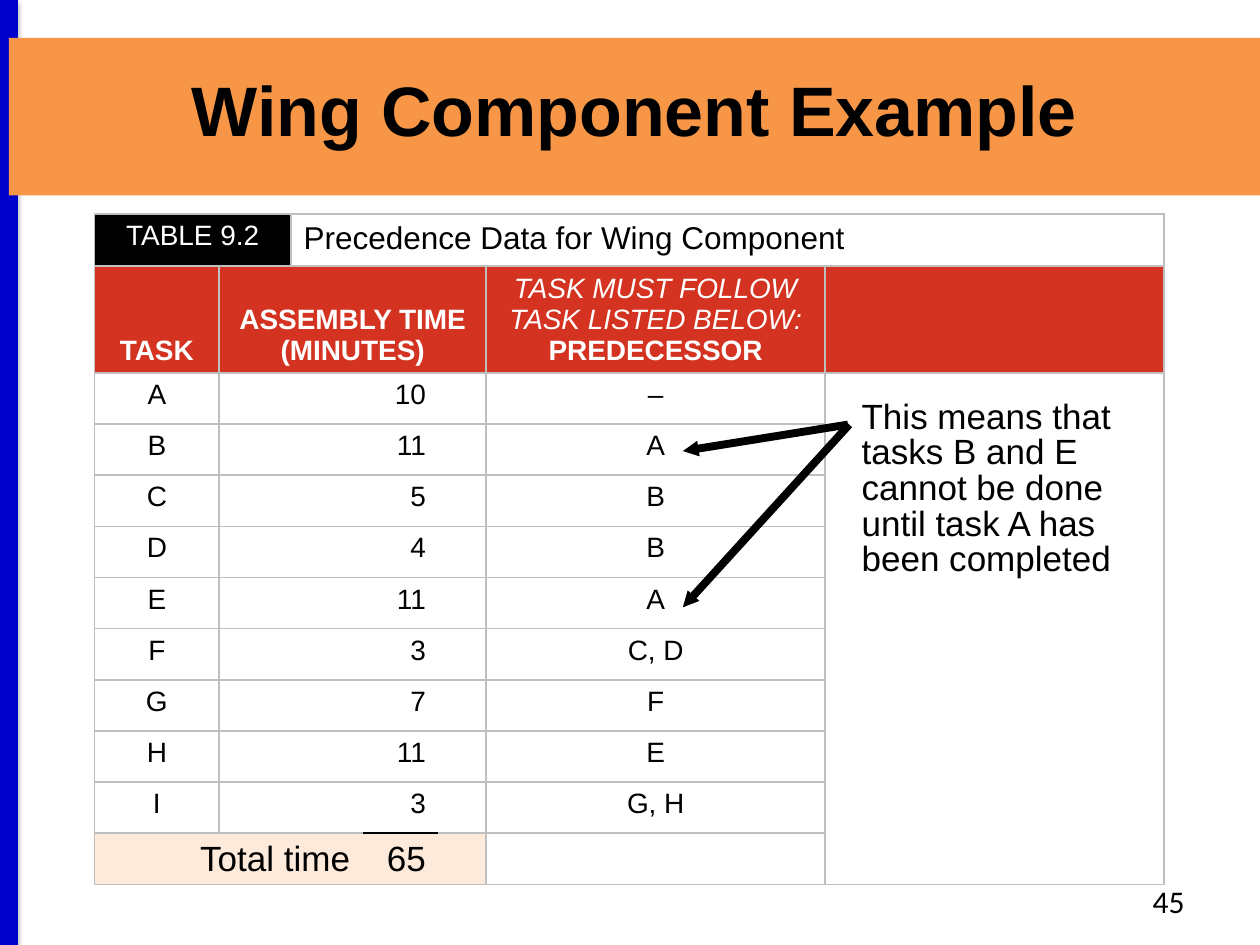
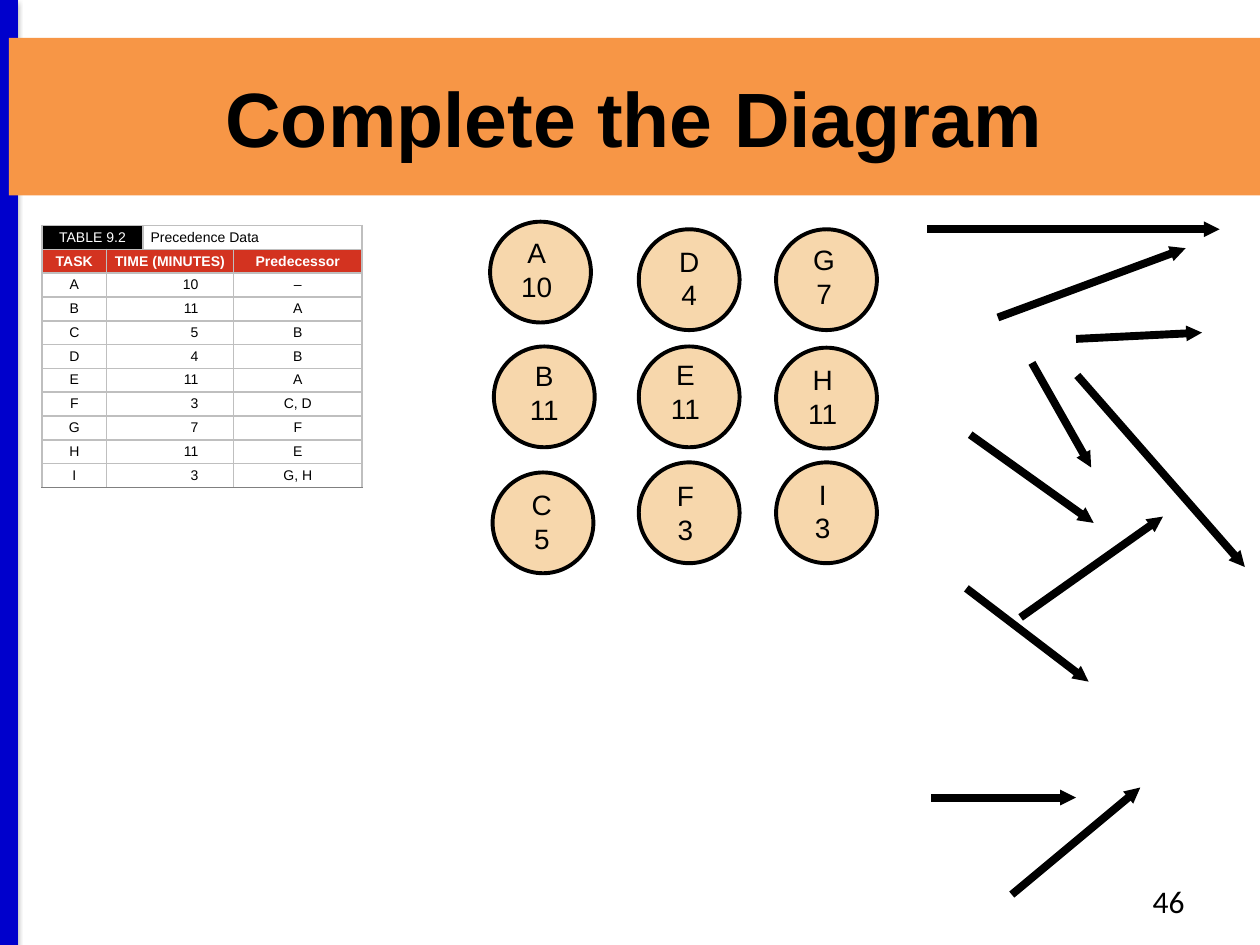
"""Build two assembly-line balancing slides: a precedence table and a diagram exercise."""
from dataclasses import dataclass
from typing import NamedTuple

from lxml import etree
from pptx import Presentation
from pptx.dml.color import RGBColor
from pptx.enum.shapes import MSO_CONNECTOR, MSO_SHAPE
from pptx.enum.text import MSO_ANCHOR, PP_ALIGN
from pptx.oxml.ns import qn
from pptx.util import Emu, Inches, Pt

LEFT, CENTER, RIGHT = PP_ALIGN.LEFT, PP_ALIGN.CENTER, PP_ALIGN.RIGHT
TOP, MIDDLE, BOTTOM = MSO_ANCHOR.TOP, MSO_ANCHOR.MIDDLE, MSO_ANCHOR.BOTTOM
RECTANGLE, OVAL, STRAIGHT = MSO_SHAPE.RECTANGLE, MSO_SHAPE.OVAL, MSO_CONNECTOR.STRAIGHT

WIDTH, HEIGHT = Inches(10), Inches(7.5)
GRID_COLUMNS, GRID_ROWS = 100, 75
BLACK, WHITE, ORANGE, BLUE = "000000", "FFFFFF", "F79646", "0000CC"
RED, PEACH, SAND, GRAY, DARK_GRAY = "D33320", "FDEADA", "F7D7AC", "BFBFBF", "808080"

TASKS = (("A", 10, "–"), ("B", 11, "A"), ("C", 5, "B"), ("D", 4, "B"), ("E", 11, "A"),
         ("F", 3, "C, D"), ("G", 7, "F"), ("H", 11, "E"), ("I", 3, "G, H"))
MINUTES = {task: minutes for task, minutes, _ in TASKS}
FIRST_TASK_ROW = 2
LAST_TASK_ROW = FIRST_TASK_ROW + len(TASKS) - 1
CLOSING_ROW = LAST_TASK_ROW + 1
TIME_COLUMN, TIME_END, PREDECESSOR_COLUMN, NOTE_COLUMN = 3, 4, 5, 6


class Arrow(NamedTuple):
    """Start and end of an arrow in grid units."""
    x1: float
    y1: float
    x2: float
    y2: float


class Node(NamedTuple):
    """A task circle with the centre and top of its label."""
    task: str
    left: float
    top: float
    label_center: float
    label_top: float


@dataclass(frozen=True)
class TableStyle:
    """Place, grid and wording of a precedence table."""
    left: float
    top: float
    widths: tuple[float, ...]
    heights: tuple[float, ...]
    size: float
    title_size: float
    title: str
    time_header: str
    predecessor_header: str
    inset: tuple[float, float]
    title_anchor: MSO_ANCHOR
    has_total: bool
    predecessor_lead: str = ""


FULL_TABLE = TableStyle(
    7.5, 17, (9.9, 5.7, 5.7, 6, 3.8, 26.9, 26.9), (4.1, 8.4) + (4.06,) * 10, 16, 18,
    "Precedence Data for Wing Component", "ASSEMBLY TIME (MINUTES)", "PREDECESSOR",
    (1, 0.5), TOP, True, "TASK MUST FOLLOW TASK LISTED BELOW:")
SMALL_TABLE = TableStyle(
    3.35, 17.9, (5.1, 2.9, 1.8, 3.2, 2.2, 10.2), (1.89,) * 12, 8, 8,
    "Precedence Data", "TIME (MINUTES)", "Predecessor", (0.6, 0.3), BOTTOM, False)

NOTE_ARROWS = (Arrow(67.3, 33.7, 54.2, 35.8), Arrow(67.4, 33.7, 54.2, 48.2))
LOOSE_ARROWS = (
    Arrow(81.9, 28.8, 86.6, 37.1), Arrow(79.2, 25.2, 94.1, 19.7),
    Arrow(85.4, 26.9, 95.4, 26.4), Arrow(81, 49, 92.3, 41),
    Arrow(77, 34.5, 86.8, 41.5), Arrow(76.7, 46.7, 86.4, 54.1),
    Arrow(80.3, 71, 90.5, 62.5), Arrow(73.6, 18.2, 96.8, 18.2),
    Arrow(73.9, 63.3, 85.4, 63.3), Arrow(85.5, 29.8, 98.8, 45))
NODES = (
    Node("A", 38.9, 17.6, 42.6, 18.2), Node("B", 39.2, 27.5, 43.2, 28),
    Node("C", 39.1, 37.5, 43, 38.2), Node("D", 50.7, 18.2, 54.7, 18.9),
    Node("E", 50.7, 27.5, 54.4, 27.9), Node("F", 50.7, 36.7, 54.4, 37.5),
    Node("G", 61.6, 18.2, 65.4, 18.8), Node("H", 61.6, 27.6, 65.3, 28.3),
    Node("I", 61.6, 36.7, 65.3, 37.4))
NODE_SIZE, LABEL_WIDTH, LABEL_HEIGHT = 8, 6, 6.4


def columns(count: float) -> Emu:
    """Convert grid columns to a length."""
    return Emu(round(count * WIDTH / GRID_COLUMNS))


def rows(count: float) -> Emu:
    """Convert grid rows to a length."""
    return Emu(round(count * HEIGHT / GRID_ROWS))


def place(left: float, top: float, width: float, height: float) -> tuple[Emu, ...]:
    """Convert a grid rectangle to lengths."""
    return columns(left), rows(top), columns(width), rows(height)


def color(value: str) -> RGBColor:
    """Turn a hex string into a colour."""
    return RGBColor.from_string(value)


def write(frame, text: str, *, size: float, font: str = "Arial", fill: str = BLACK,
          bold: bool = False, italic: bool = False, align: PP_ALIGN = CENTER,
          spacing: float | None = None) -> None:
    """Add the lines of a text to a frame in one format."""
    for line in text.split("\n"):
        paragraph = frame.add_paragraph() if frame.text else frame.paragraphs[0]
        paragraph.alignment = align
        if spacing:
            paragraph.line_spacing = spacing
        run = paragraph.add_run()
        run.text = line
        run.font.size, run.font.name = Pt(size), font
        run.font.bold, run.font.italic = bold, italic
        run.font.color.rgb = color(fill)


def add_label(shapes, text: str, left: float, top: float, width: float, height: float,
              wrap: bool = True, **text_format) -> None:
    """Add a text box."""
    frame = shapes.add_textbox(*place(left, top, width, height)).text_frame
    frame.word_wrap = wrap
    write(frame, text, **text_format)


def add_line(shapes, ends: Arrow, line_color: str, width: float):
    """Add a straight line and return it with its empty effect list."""
    line = shapes.add_connector(STRAIGHT, columns(ends.x1), rows(ends.y1),
                                columns(ends.x2), rows(ends.y2))
    line.line.color.rgb = color(line_color)
    line.line.width = Pt(width)
    effects = etree.SubElement(line._element.spPr, qn("a:effectLst"))
    return line, effects


def add_arrow(shapes, ends: Arrow) -> None:
    """Add a thick black arrow with a small head."""
    connector, _ = add_line(shapes, ends, BLACK, 4.5)
    etree.SubElement(connector.line._get_or_add_ln(), qn("a:tailEnd"),
                     type="triangle", w="sm", len="sm")


def add_side_band(slide) -> None:
    """Add the blue edge line with its soft shadow."""
    _, effects = add_line(slide.shapes, Arrow(0.7, 0, 0.7, GRID_ROWS), BLUE, 10)
    shadow = etree.SubElement(effects, qn("a:outerShdw"), blurRad=str(Pt(3.1)),
                              dist=str(Pt(1.6)), dir="5400000", rotWithShape="0")
    tint = etree.SubElement(shadow, qn("a:srgbClr"), val=BLACK)
    etree.SubElement(tint, qn("a:alpha"), val="38000")


def add_filled_shape(shapes, kind: MSO_SHAPE, area: tuple[Emu, ...], fill: str):
    """Add a flat preset shape without an outline."""
    shape = shapes.add_shape(kind, *area)
    shape.shadow.inherit = False
    shape.fill.solid()
    shape.fill.fore_color.rgb = color(fill)
    shape.line.fill.background()
    return shape


def add_frame(presentation, title: str, size: float, number: int,
              spacing: float | None = None):
    """Add a slide with edge line, title band and number."""
    slide = presentation.slides.add_slide(presentation.slide_layouts[6])
    add_side_band(slide)
    band = add_filled_shape(slide.shapes, RECTANGLE, place(0.7, 3, 99.3, 12.5), ORANGE)
    band.text_frame.vertical_anchor = MIDDLE
    band.text_frame.word_wrap = True
    write(band.text_frame, title, size=size, bold=True, spacing=spacing)
    add_label(slide.shapes, str(number), 71.7, 69.5, 23.3, 4,
              size=18, font="Calibri", align=RIGHT)
    return slide


def border_colors(row: int, column: int, has_total: bool) -> dict[str, str]:
    """Return the visible borders of a table cell by side."""
    if row == CLOSING_ROW and not has_total:
        return {"T": DARK_GRAY}
    sides = dict.fromkeys("LRTB", GRAY)
    time_start = 0 if row == CLOSING_ROW else 1
    if row >= FIRST_TASK_ROW and time_start <= column <= TIME_END:
        if column != time_start:
            del sides["L"]
        if column != TIME_END:
            del sides["R"]
    if column == NOTE_COLUMN and row > FIRST_TASK_ROW:
        del sides["T"]
    if column == NOTE_COLUMN and FIRST_TASK_ROW <= row < CLOSING_ROW:
        del sides["B"]
    if row == LAST_TASK_ROW and not has_total:
        sides["B"] = DARK_GRAY
    if has_total and column == TIME_COLUMN:
        if row == LAST_TASK_ROW:
            sides["B"] = BLACK
        elif row == CLOSING_ROW:
            sides["T"] = BLACK
    return sides


def cell_fill(row: int, column: int, has_total: bool) -> str | None:
    """Return the fill of a table cell."""
    if row == 0:
        return BLACK if column < 2 else None
    if row == 1:
        return RED
    return PEACH if has_total and row == CLOSING_ROW and column <= TIME_END else None


def format_cell(cell, style: TableStyle, row: int, column: int) -> None:
    """Set borders, fill, anchor, margins and text height of a cell."""
    properties = cell._tc.get_or_add_tcPr()
    sides = border_colors(row, column, style.has_total)
    for side in "LRTB":
        line = etree.SubElement(properties, qn(f"a:ln{side}"), w=str(Pt(1)))
        if side in sides:
            solid = etree.SubElement(line, qn("a:solidFill"))
            etree.SubElement(solid, qn("a:srgbClr"), val=sides[side])
        else:
            etree.SubElement(line, qn("a:noFill"))
    fill = cell_fill(row, column, style.has_total)
    if fill:
        cell.fill.solid()
        cell.fill.fore_color.rgb = color(fill)
    else:
        cell.fill.background()
    anchor = (style.title_anchor, BOTTOM)[row] if row < 2 else TOP
    cell.vertical_anchor = anchor
    cell.margin_left = cell.margin_right = columns(style.inset[0])
    cell.margin_top = rows(style.inset[1] if anchor == TOP else 0)
    cell.margin_bottom = rows(style.inset[1] if anchor == BOTTOM else 0)
    etree.SubElement(cell.text_frame.paragraphs[0]._p, qn("a:endParaRPr"),
                     sz=str(style.size * 100))


def add_precedence_table(slide, style: TableStyle) -> None:
    """Add the table of tasks, times and predecessors."""
    area = place(style.left, style.top, sum(style.widths), sum(style.heights))
    table = slide.shapes.add_table(len(style.heights), len(style.widths), *area).table
    for column, width in enumerate(style.widths):
        table.columns[column].width = columns(width)
    for row, height in enumerate(style.heights):
        table.rows[row].height = rows(height)
        for column in range(len(style.widths)):
            format_cell(table.cell(row, column), style, row, column)

    spans = [(0, 0, 1), (0, 2, len(style.widths) - 1), (1, 1, TIME_END), (CLOSING_ROW, 0, 2)]
    spans += [(row, 1, 2) for row in range(FIRST_TASK_ROW, CLOSING_ROW)]
    for row, first, last in spans:
        table.cell(row, first).merge(table.cell(row, last))

    def fill_in(row: int, column: int, text: str, size: float = style.size, **text_format):
        write(table.cell(row, column).text_frame, text, size=size, **text_format)

    fill_in(0, 0, "TABLE 9.2", fill=WHITE)
    fill_in(0, 2, style.title, style.title_size, align=LEFT)
    if style.predecessor_lead:
        fill_in(1, PREDECESSOR_COLUMN, style.predecessor_lead, fill=WHITE, italic=True)
    headers = {0: "TASK", 1: style.time_header, PREDECESSOR_COLUMN: style.predecessor_header}
    for column, header in headers.items():
        fill_in(1, column, header, fill=WHITE, bold=True)
    for row, (task, minutes, predecessor) in enumerate(TASKS, FIRST_TASK_ROW):
        fill_in(row, 0, task)
        fill_in(row, TIME_COLUMN, str(minutes), align=RIGHT)
        fill_in(row, PREDECESSOR_COLUMN, predecessor)
    if style.has_total:
        fill_in(CLOSING_ROW, 0, "Total time", 20, align=RIGHT)
        fill_in(CLOSING_ROW, TIME_COLUMN, str(sum(MINUTES.values())), 20, align=RIGHT)


def add_node(slide, node: Node) -> None:
    """Add a task circle grouped with its label."""
    shapes = slide.shapes.add_group_shape().shapes
    circle = add_filled_shape(shapes, OVAL, place(node.left, node.top, NODE_SIZE, NODE_SIZE), SAND)
    circle.line.color.rgb = color(BLACK)
    circle.line.width = Pt(2.25)
    add_label(shapes, f"{node.task}\n{MINUTES[node.task]}", node.label_center - LABEL_WIDTH / 2,
              node.label_top, LABEL_WIDTH, LABEL_HEIGHT, wrap=False, size=16)


def main() -> None:
    """Build and save the presentation."""
    presentation = Presentation()
    presentation.slide_width, presentation.slide_height = WIDTH, HEIGHT

    example = add_frame(presentation, "Wing Component Example", 40, 45, spacing=0.8)
    add_precedence_table(example, FULL_TABLE)
    note = example.shapes.add_group_shape().shapes
    add_label(note, "This means that tasks B and E cannot be done until task A has been completed",
              67.4, 31.3, 23, 15.3, size=20, align=LEFT, spacing=0.85)
    for arrow in NOTE_ARROWS:
        add_arrow(note, arrow)

    exercise = add_frame(presentation, "Complete the Diagram", 44, 46)
    add_precedence_table(exercise, SMALL_TABLE)
    for node in NODES:
        add_node(exercise, node)
    for arrow in LOOSE_ARROWS:
        add_arrow(exercise.shapes, arrow)
    presentation.save("out.pptx")


if __name__ == "__main__":
    main()
